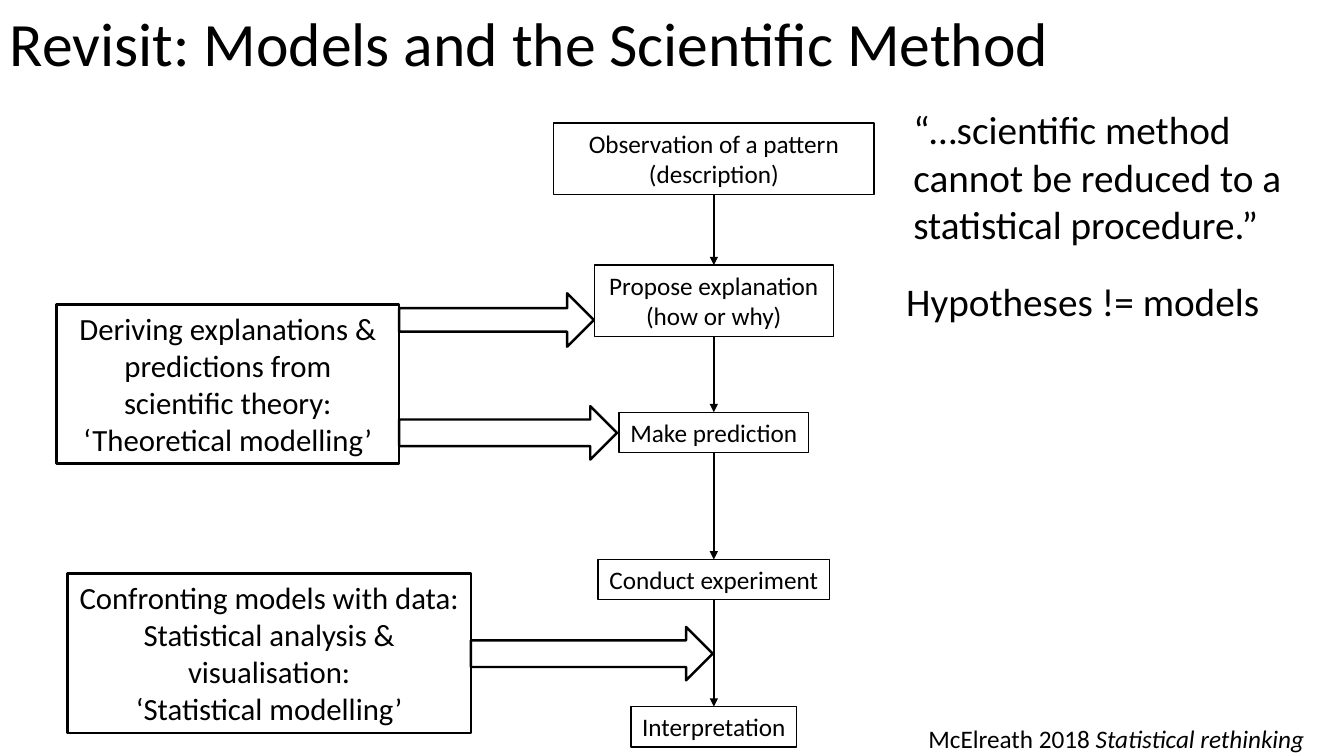
import dataclasses

import pptx
import pptx.dml.color
import pptx.enum.shapes
import pptx.enum.text
import pptx.oxml.ns
import pptx.util
from lxml import etree

Inches = pptx.util.Inches
Pt = pptx.util.Pt
Shape = pptx.enum.shapes.MSO_SHAPE
Align = pptx.enum.text.PP_ALIGN
Anchor = pptx.enum.text.MSO_ANCHOR
qn = pptx.oxml.ns.qn


@dataclasses.dataclass(frozen=True)
class Theme:
    font: str = "Calibri"
    ink: pptx.dml.color.RGBColor = pptx.dml.color.RGBColor(0, 0, 0)
    title: int = 44
    quote: int = 28
    model: int = 22
    step: int = 18
    thin: float = 1
    thick: float = 1.75


@dataclasses.dataclass(frozen=True)
class Box:
    left: float
    top: float
    width: float
    height: float

    def inside(self, left, top, width, height):
        """Return a box whose offset is measured from this one."""
        return Box(self.left + left, self.top + top, width, height)

    def lengths(self):
        return [Inches(value) for value in dataclasses.astuple(self)]


THEME = Theme()

# Text, top and size of each step; all share one centre line.
STEPS = [
    ("Observation of a pattern (description)", 0, 3.18, 0.71),
    ("Propose explanation (how or why)", 1.41, 2.37, 0.71),
    ("Make prediction", 2.87, 1.88, 0.4),
    ("Conduct experiment", 4.33, 2.3, 0.4),
    ("Interpretation", 5.79, 1.64, 0.4),
]
THEORETICAL = ["Deriving explanations & predictions from scientific theory:",
               "‘Theoretical modelling’"]
STATISTICAL = ["Confronting models with data:",
               "Statistical analysis & visualisation:",
               "‘Statistical modelling’"]


def write(shape, paragraphs, size, align=Align.LEFT, wrap=True, anchor=Anchor.TOP):
    """Fill a shape with paragraphs, each a list of (text, italic) spans."""
    frame = shape.text_frame
    for name, value in {"word_wrap": wrap, "vertical_anchor": anchor}.items():
        setattr(frame, name, value)
    for index, spans in enumerate(paragraphs):
        para = frame.paragraphs[0] if index == 0 else frame.add_paragraph()
        para.alignment = align
        for text, italic in spans:
            span = para.add_run()
            span.text = text
            span.font.color.rgb = THEME.ink
            style = {"name": THEME.font, "size": Pt(size), "italic": italic}
            for name, value in style.items():
                setattr(span.font, name, value)


def add_label(page, box, spans, size, **options):
    label = page.shapes.add_textbox(*box.lengths())
    write(label, [spans], size, **options)
    return label


def add_outline(page, kind, box, weight):
    shape = page.shapes.add_shape(kind, *box.lengths())
    shape.shadow.inherit = False
    shape.fill.background()
    shape.line.color.rgb = THEME.ink
    shape.line.width = Pt(weight)
    return shape


def add_text_box(page, box, lines, size, weight, wrap=True):
    shape = add_outline(page, Shape.RECTANGLE, box, weight)
    paragraphs = [[(line, None)] for line in lines]
    write(shape, paragraphs, size, Align.CENTER, wrap)
    return shape


def add_step_arrow(page, upper, lower):
    arrow = page.shapes.add_connector(
        pptx.enum.shapes.MSO_CONNECTOR.STRAIGHT, 0, 0, 0, 0)
    arrow.begin_connect(upper, 2)
    arrow.end_connect(lower, 0)
    arrow.line.color.rgb = THEME.ink
    arrow.line.width = Pt(THEME.thick)
    etree.SubElement(arrow.line._get_or_add_ln(), qn("a:tailEnd"), type="triangle")
    etree.SubElement(arrow._element.spPr, qn("a:effectLst"))


def add_method_steps(page, box):
    """Stack the steps on the centre line of the box and chain them."""
    shapes = []
    for text, top, width, height in STEPS:
        place = box.inside((box.width - width) / 2, top, width, height)
        shapes.append(add_text_box(page, place, [text], THEME.step, THEME.thin,
                                   wrap=height > 0.4))
    for upper, lower in zip(shapes, shapes[1:]):
        add_step_arrow(page, upper, lower)


def add_modelling(page, box, lines, arrows):
    """Draw a modelling box; arrows are (top, length, shaft ratio) from its right."""
    add_text_box(page, box, lines, THEME.model, THEME.thick)
    for top, length, shaft in arrows:
        place = box.inside(box.width, top, length, 0.53)
        arrow = add_outline(page, Shape.RIGHT_ARROW, place, THEME.thick)
        arrow.adjustments[0] = shaft


def add_remarks(page, box):
    quote = "“…scientific method cannot be reduced to a statistical procedure.”"
    add_label(page, box.inside(0.07, 0, 4.09, 1.51), [(quote, None)], THEME.quote)
    add_label(page, box.inside(0, 1.7, 3.74, 0.57),
              [("Hypotheses != models", None)], THEME.quote, wrap=False)
    add_label(page, box.inside(0.22, 6.13, 3.97, 0.4),
              [("McElreath 2018 ", None), ("Statistical rethinking", True)],
              THEME.step, wrap=False)


def add_title(page, box):
    title = add_label(page, box, [("Revisit: Models and the Scientific Method", None)],
                      THEME.title, anchor=Anchor.MIDDLE)
    title.text_frame.paragraphs[0].line_spacing = 0.9


def main():
    deck = pptx.Presentation()
    deck.slide_width, deck.slide_height = Inches(13.33), Inches(7.5)
    page = deck.slides.add_slide(deck.slide_layouts[6])
    add_title(page, Box(0, -0.26, 11.5, 1.45))
    add_method_steps(page, Box(5.49, 1.22, 3.18, 6.19))
    add_modelling(page, Box(0.56, 3.02, 3.4, 1.58), THEORETICAL,
                  [(-0.11, 1.93, 0.44), (1.01, 2.16, 0.5)])
    add_modelling(page, Box(0.67, 5.69, 4, 1.58), STATISTICAL, [(0.53, 2.4, 0.5)])
    add_remarks(page, Box(8.89, 1, 4.19, 6.53))
    deck.save("out.pptx")


if __name__ == "__main__":
    main()
